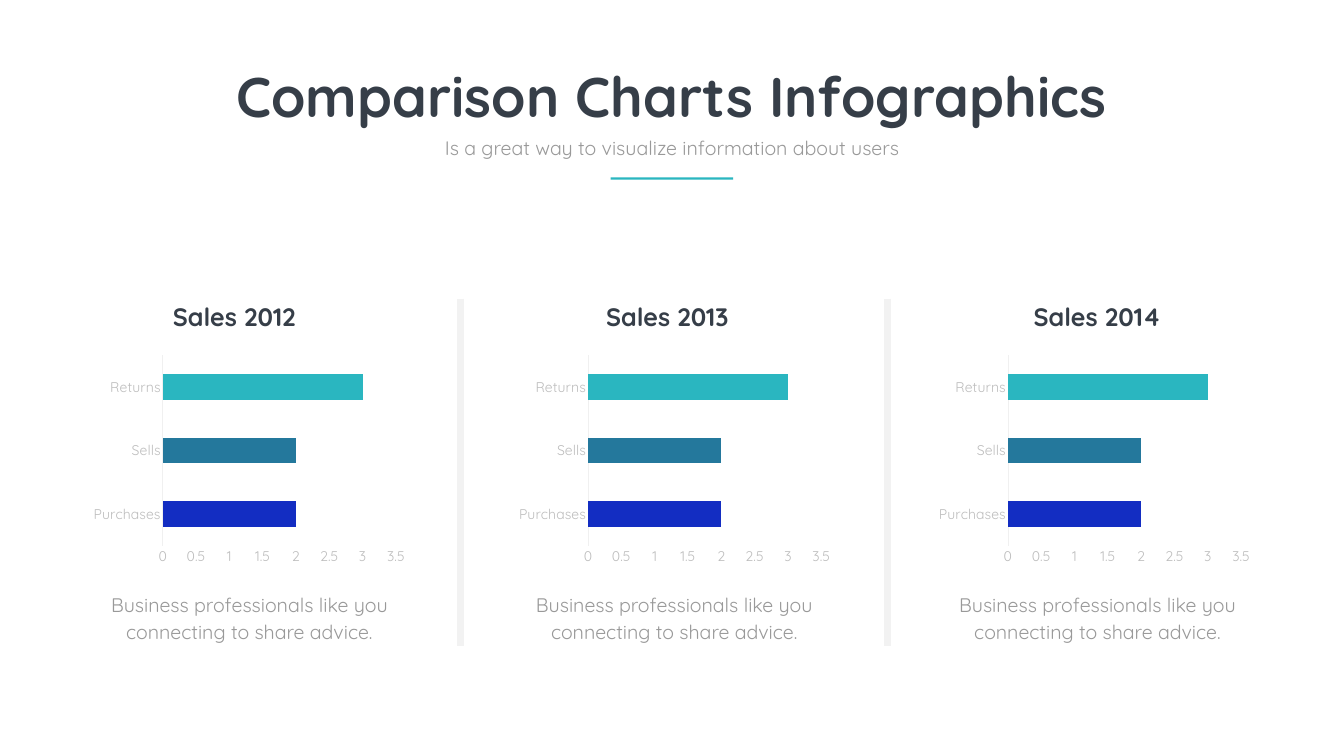
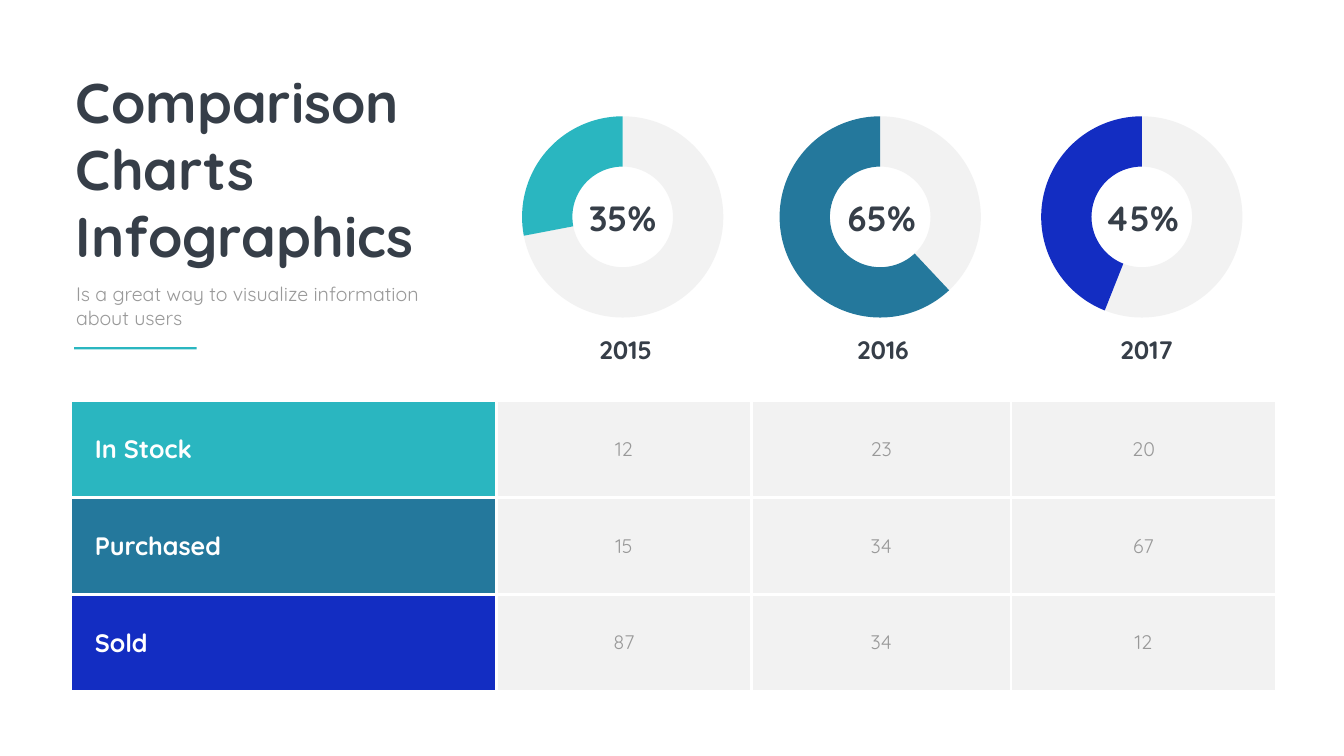
import pptx
import pptx.chart.data
import pptx.dml.color
import pptx.enum.chart
import pptx.enum.shapes
import pptx.enum.text
import pptx.oxml
import pptx.oxml.ns
import pptx.util

Pt = pptx.util.Pt
RGBColor = pptx.dml.color.RGBColor
Align = pptx.enum.text.PP_ALIGN
ChartType = pptx.enum.chart.XL_CHART_TYPE
qn = pptx.oxml.ns.qn

TEAL = RGBColor(0x2A, 0xB6, 0xC0)
STEEL = RGBColor(0x24, 0x78, 0x9C)
BLUE = RGBColor(0x13, 0x2D, 0xC2)
DARK = RGBColor(0x36, 0x3E, 0x48)
GREY = RGBColor(0x99, 0x99, 0x99)
AXIS_TEXT = RGBColor(0xBD, 0xBD, 0xBD)
AXIS_LINE = RGBColor(0xF0, 0xF0, 0xF0)
PALE = RGBColor(0xF2, 0xF2, 0xF2)
WHITE = RGBColor(0xFF, 0xFF, 0xFF)

FONT = "Quicksand"
TITLE_SIZE, NUMBER_SIZE, HEADING_SIZE, BODY_SIZE = 80, 50, 36, 28
SUBTITLE = "Is a great way to visualize information about users"


def set_font(font, size, color, bold=False, name=FONT):
    font.name = name
    font.size = Pt(size)
    font.bold = bold
    font.color.rgb = color


def write_text(frame, text, *, size=BODY_SIZE, color=GREY, bold=False,
               align=Align.CENTER, spacing=None):
    """Fill a text frame, one paragraph for each line of text."""
    frame.word_wrap = True
    for index, line in enumerate(text.split("\n")):
        para = frame.add_paragraph() if index else frame.paragraphs[0]
        para.alignment = align
        if spacing:
            para.line_spacing = Pt(spacing)
        span = para.add_run()
        span.text = line
        set_font(span.font, size, color, bold)


class Page:
    """Holds the deck and the slide being built; all lengths are points."""

    def __init__(self, deck):
        self.deck = deck
        self.shapes = None

    def start(self):
        self.shapes = self.deck.slides.add_slide(self.deck.slide_layouts[6]).shapes

    def text(self, left, top, width, height, text, **style):
        box = self.shapes.add_textbox(Pt(left), Pt(top), Pt(width), Pt(height))
        write_text(box.text_frame, text, **style)

    def heading(self, left, top, width, text, size=HEADING_SIZE):
        self.text(left, top, width, size * 1.4, text, size=size, color=DARK, bold=True)

    def accent(self, left, top):
        bar = self.shapes.add_shape(pptx.enum.shapes.MSO_SHAPE.RECTANGLE,
                                    Pt(left), Pt(top), Pt(175), Pt(3))
        bar.shadow.inherit = False
        bar.fill.solid()
        bar.fill.fore_color.rgb = TEAL
        bar.line.fill.background()

    def divider(self, x, top, bottom):
        line = self.shapes.add_connector(pptx.enum.shapes.MSO_CONNECTOR.STRAIGHT,
                                         Pt(x), Pt(top), Pt(x), Pt(bottom))
        line.line.color.rgb = PALE
        line.line.width = Pt(10)
        properties = line._element.spPr
        properties.append(properties.makeelement(qn("a:effectLst"), {}))

    def chart(self, kind, left, top, width, height, categories, values, colors):
        data = pptx.chart.data.CategoryChartData()
        data.categories = categories
        data.add_series("Series 1", values)
        chart = self.shapes.add_chart(kind, Pt(left), Pt(top), Pt(width),
                                      Pt(height), data).chart
        chart.has_title = False
        chart.has_legend = False
        plot = chart.plots[0]
        plot.has_data_labels = False
        for index, color in enumerate(colors):
            fill = plot.series[0].points[index].format.fill
            fill.solid()
            fill.fore_color.rgb = color
        return chart

    def bars(self, left, top, categories, values, colors):
        chart = self.chart(ChartType.BAR_STACKED, left, top, 463, 313.2,
                           categories, values, colors)
        set_font(chart.font, 20, GREY)
        plot = chart.plots[0]
        plot.vary_by_categories = False
        plot.gap_width = 150
        plot.overlap = 100
        for axis in (chart.category_axis, chart.value_axis):
            axis.has_major_gridlines = False
            axis.major_tick_mark = pptx.enum.chart.XL_TICK_MARK.NONE
            axis.minor_tick_mark = pptx.enum.chart.XL_TICK_MARK.NONE
            set_font(axis.tick_labels.font, 20, AXIS_TEXT)
        chart.category_axis.format.line.color.rgb = AXIS_LINE
        chart.category_axis.format.line.width = Pt(0.75)
        chart.value_axis.format.line.fill.background()
        chart.value_axis.minimum_scale = 0
        chart.value_axis.maximum_scale = 3.5
        chart.value_axis.major_unit = 0.5

    def ring(self, left, top, filled, color):
        chart = self.chart(ChartType.DOUGHNUT, left, top, 461.5, 307.4,
                           ["1", "2"], [100 - filled, filled], [PALE, color])
        set_font(chart.font, 10, GREY, name="Calibri")
        chart.plots[0].vary_by_categories = True
        hole = chart._chartSpace.find(".//" + qn("c:holeSize"))
        hole.set("val", "75")

    def table(self, left, top, widths, row_height, rows, colors):
        frame = self.shapes.add_table(len(rows), len(widths), Pt(left), Pt(top),
                                      Pt(sum(widths)), Pt(row_height * len(rows)))
        table = frame.table
        table.first_row = False
        table.horz_banding = False
        for column, width in zip(table.columns, widths):
            column.width = Pt(width)
        for row, values, color in zip(table.rows, rows, colors):
            row.height = Pt(row_height)
            for index, (cell, value) in enumerate(zip(row.cells, values)):
                cell.vertical_anchor = pptx.enum.text.MSO_ANCHOR.MIDDLE
                if index == 0:
                    cell.margin_left = Pt(34)
                    write_text(cell.text_frame, value, size=HEADING_SIZE,
                               color=WHITE, bold=True, align=Align.LEFT)
                else:
                    write_text(cell.text_frame, value)
                self.cell_borders(cell)
                cell.fill.solid()
                cell.fill.fore_color.rgb = PALE if index else color

    def cell_borders(self, cell):
        properties = cell._tc.get_or_add_tcPr()
        for side in ("lnL", "lnR", "lnT", "lnB"):
            properties.append(pptx.oxml.parse_xml(
                f'<a:{side} {pptx.oxml.ns.nsdecls("a")} w="{Pt(4.5)}"><a:solidFill>'
                f'<a:srgbClr val="{WHITE}"/></a:solidFill></a:{side}>'))


def build_sales_slide(page):
    page.start()
    # Title block
    page.heading(322, 84, 1275, "Comparison Charts Infographics", TITLE_SIZE)
    page.text(616, 191, 688, 41, SUBTITLE)
    page.accent(872.5, 253.5)
    # One column for each year: chart, heading and caption
    columns = [("Sales 2012", 124.6, 172, 129), ("Sales 2013", 732.2, 790.6, 736),
               ("Sales 2014", 1332, 1404.7, 1340.6)]
    for heading, chart_left, heading_left, caption_left in columns:
        page.bars(chart_left, 501, ["Purchases", "Sells", "Returns"], [2, 2, 3],
                  [BLUE, STEEL, TEAL])
        page.heading(heading_left, 427, 325.5, heading)
        page.text(caption_left, 838, 454.3, 85,
                  "Business professionals like you connecting to share advice.",
                  spacing=38.6)
    for x in (658, 1268):
        page.divider(x, 427, 922.3)


def build_stock_slide(page):
    page.start()
    # Table
    rows = [("In Stock", "12", "23", "20"), ("Purchased", "15", "34", "67"),
            ("Sold", "87", "34", "12")]
    page.table(101.5, 572.4, [607.7, 364.3, 370.8, 378.7], 138.24, rows,
               [TEAL, STEEL, BLUE])
    # Rings with their share and year
    rings = [("2015", "35%", 28, TEAL, 658.8, 802, 810),
             ("2016", "65%", 62, STEEL, 1026.7, 1172, 1177.5),
             ("2017", "45%", 44, BLUE, 1400.4, 1543.7, 1554)]
    for year, share, filled, color, ring_left, share_left, year_left in rings:
        page.ring(ring_left, 156.2, filled, color)
        page.heading(share_left, 276.5, 175, share, NUMBER_SIZE)
        page.heading(year_left, 473.8, 168, year)
    # Title block
    page.text(101.5, 93, 515.5, 298, "Comparison\nCharts\nInfographics",
              size=TITLE_SIZE, color=DARK, bold=True, align=Align.LEFT)
    page.text(101.5, 399.6, 539.3, 75, SUBTITLE.replace(" about", "\nabout"),
              align=Align.LEFT)
    page.accent(106, 496)


def main():
    deck = pptx.Presentation()
    deck.slide_width = Pt(1920)
    deck.slide_height = Pt(1080)
    page = Page(deck)
    build_sales_slide(page)
    build_stock_slide(page)
    deck.save("out.pptx")


if __name__ == "__main__":
    main()
